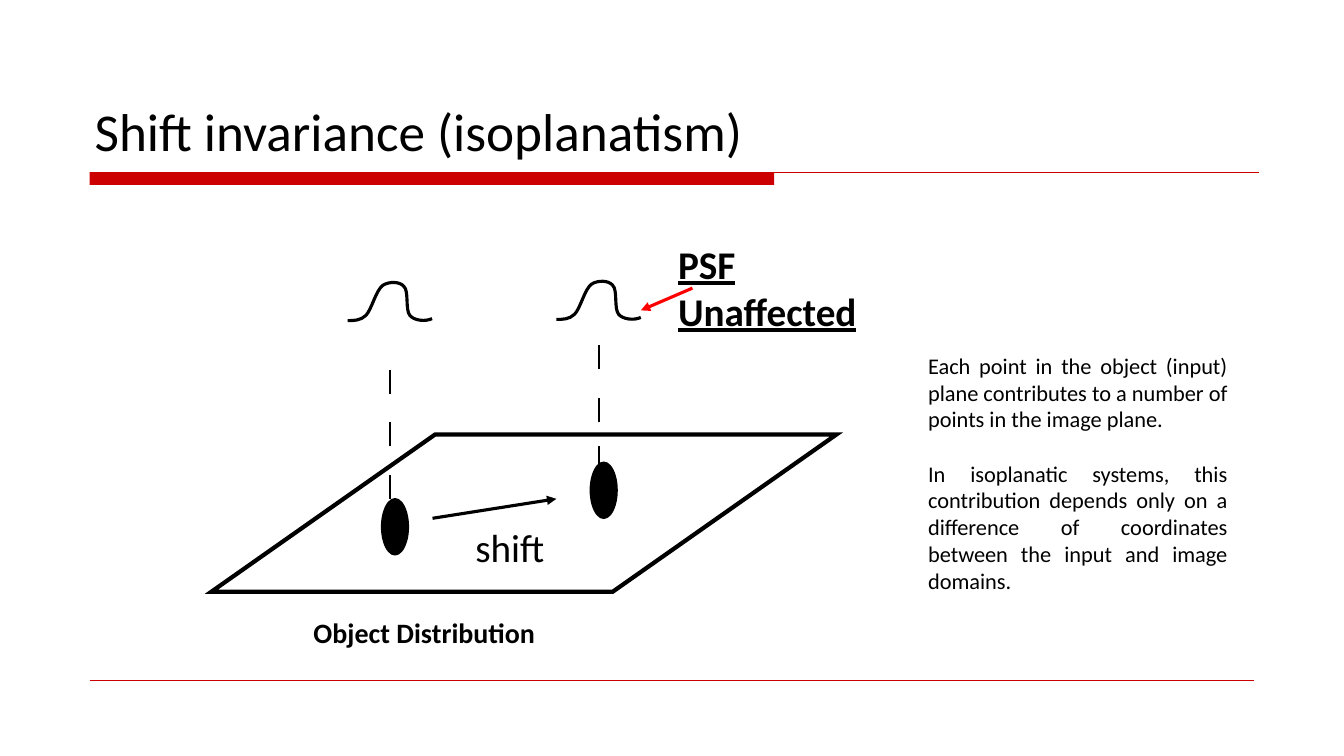
from dataclasses import dataclass

from lxml.etree import SubElement
from pptx import Presentation
from pptx.dml.color import RGBColor
from pptx.enum.shapes import MSO_CONNECTOR, MSO_SHAPE
from pptx.enum.text import MSO_ANCHOR, PP_ALIGN
from pptx.oxml.ns import qn
from pptx.util import Cm, Pt

COLORS = {"black": "000000", "rule": "CC0000", "arrow": "FF0000"}
FONT = "Calibri"
DASH_LENGTH = 0.61
PSF_CURVE = [
    (0.15, 0), (0.33, 0), (0.46, -0.13),
    (0.61, -0.28), (0.71, -0.76), (0.89, -0.89),
    (1.04, -0.99), (1.32, -0.99), (1.42, -0.86),
    (1.55, -0.74), (1.45, -0.28), (1.57, -0.13),
    (1.68, 0), (1.96, 0.03), (2.13, -0.05),
]


@dataclass
class Source:
    """A point of the object plane with its dashed projection and PSF, in cm."""
    left: float
    top: float
    dash_x: float
    dash_bottoms: tuple[float, ...]
    psf_start: tuple[float, float]


@dataclass
class Segment:
    """A straight line, in cm, with its stroke."""
    start: tuple[float, float]
    end: tuple[float, float]
    width: float
    color: str = "black"
    arrow: bool = False


@dataclass
class Label:
    """A text box: place in cm, paragraphs and format."""
    box: tuple[float, float, float, float]
    paragraphs: list[str]
    style: dict


SOURCES = [
    Source(9.6, 12.55, 9.83, (12.57, 11.25, 9.93), (8.76, 8.08)),
    Source(14.86, 11.63, 15.09, (11.86, 10.64, 9.3), (14.02, 8.05)),
]
RULES = [
    Segment((2.26, 4.34), (31.72, 4.34), 0.75, "rule"),
    Segment((2.26, 17.15), (31.6, 17.15), 0.25, "rule"),
]
ARROWS = [
    Segment((17.45, 7.26), (16.15, 7.82), 2.25, "arrow", True),
    Segment((10.9, 13.06), (14.02, 12.57), 2.25, "black", True),
]
LABELS = [
    Label((16.84, 5.92, 6.3, 2.64), ["PSF Unaffected"],
          {"size": 28, "bold": True, "underline": True}),
    Label((11.73, 13.06, 3.1, 1.45), ["shift"], {"size": 28}),
    Label((7.65, 15.39, 8.2, 1.09), ["Object Distribution"],
          {"size": 20, "bold": True}),
    Label((23.14, 8.74, 8.05, 6.4), [
        "Each point in the object (input) plane contributes to a number of "
        "points in the image plane.",
        "In isoplanatic systems, this contribution depends only on a "
        "difference of coordinates between the input and image domains.",
    ], {"size": 16, "align": PP_ALIGN.JUSTIFY, "gap": 19.5}),
]


def rgb(name: str) -> RGBColor:
    """Return a named colour."""
    return RGBColor.from_string(COLORS[name])


def write(tf, paragraphs: list[str], *, size: float, bold: bool = False,
          underline: bool = False, align=PP_ALIGN.LEFT, gap: float = 0) -> None:
    """Fill a text frame with formatted paragraphs, set apart by gap points."""
    tf.word_wrap = True
    for i, text in enumerate(paragraphs):
        p = tf.add_paragraph() if i else tf.paragraphs[0]
        p.alignment = align
        p.space_before = Pt(gap if i else 0)
        r = p.add_run()
        r.text = text
        r.font.name, r.font.size = FONT, Pt(size)
        r.font.bold, r.font.underline = bold, underline
        r.font.color.rgb = rgb("black")


def stroke(sp, width: float, color: str = "black"):
    """Set the line of a shape or connector and return its XML element."""
    sp.line.color.rgb = rgb(color)
    sp.line.width = Pt(width)
    return sp.line._get_or_add_ln()


def draw_segment(s, seg: Segment) -> None:
    """Draw a straight line, with an arrowhead at its end if wanted."""
    cx = s.shapes.add_connector(
        MSO_CONNECTOR.STRAIGHT, *(Cm(v) for v in seg.start + seg.end))
    ln = stroke(cx, seg.width, seg.color)
    if seg.arrow:
        SubElement(ln, qn("a:tailEnd"), type="triangle")
    SubElement(cx._element.spPr, qn("a:effectLst"))


def draw_shape(s, kind: MSO_SHAPE, box: tuple[float, ...],
               fill: str | None = None):
    """Add a preset shape without line or shadow."""
    sp = s.shapes.add_shape(kind, *(Cm(v) for v in box))
    sp.shadow.inherit = False
    sp.line.fill.background()
    if fill:
        sp.fill.solid()
        sp.fill.fore_color.rgb = rgb(fill)
    else:
        sp.fill.background()
    return sp


def draw_psf(s, start: tuple[float, float]) -> None:
    """Draw the bell curve, turning each three vertices into a Bézier piece."""
    x, y = start
    fb = s.shapes.build_freeform(Cm(x), Cm(y))
    fb.add_line_segments([(Cm(x + dx), Cm(y + dy)) for dx, dy in PSF_CURVE],
                         close=False)
    sp = fb.convert_to_shape()
    sp.shadow.inherit = False
    sp.fill.background()
    stroke(sp, 2.25)
    vertices = list(sp._element.iter(qn("a:lnTo")))
    for i in range(0, len(vertices), 3):
        outline = vertices[i].getparent()
        piece = SubElement(outline, qn("a:cubicBezTo"))
        for vertex in vertices[i:i + 3]:
            piece.append(vertex[0])
            outline.remove(vertex)


def draw_source(s, source: Source) -> None:
    """Draw a source point, its dashes and its PSF."""
    draw_shape(s, MSO_SHAPE.OVAL, (source.left, source.top, 0.71, 1.45), "black")
    for bottom in source.dash_bottoms:
        draw_segment(s, Segment((source.dash_x, bottom),
                                (source.dash_x, bottom - DASH_LENGTH), 1.5))
    draw_psf(s, source.psf_start)


def main() -> None:
    """Build the slide and save it."""
    prs = Presentation()
    prs.slide_width, prs.slide_height = Cm(33.87), Cm(19.05)
    s = prs.slides.add_slide(prs.slide_layouts[5])

    title = s.shapes.title
    title.left, title.top = Cm(2.13), Cm(0.84)
    title.width, title.height = Cm(29.62), Cm(3.38)
    title.text_frame.vertical_anchor = MSO_ANCHOR.BOTTOM
    write(title.text_frame, ["Shift invariance (isoplanatism)"], size=38)

    draw_shape(s, MSO_SHAPE.RECTANGLE, (2.26, 4.34, 17.25, 0.32), "rule")
    for rule in RULES:
        draw_segment(s, rule)

    plane = draw_shape(s, MSO_SHAPE.PARALLELOGRAM, (5.33, 10.95, 15.75, 3.96))
    plane.adjustments[0] = 1.423
    SubElement(stroke(plane, 3), qn("a:miter"), lim="800000")

    for source in SOURCES:
        draw_source(s, source)
    for label in LABELS:
        tb = s.shapes.add_textbox(*(Cm(v) for v in label.box))
        write(tb.text_frame, label.paragraphs, **label.style)
    for arrow in ARROWS:
        draw_segment(s, arrow)

    prs.save("out.pptx")


if __name__ == "__main__":
    main()
